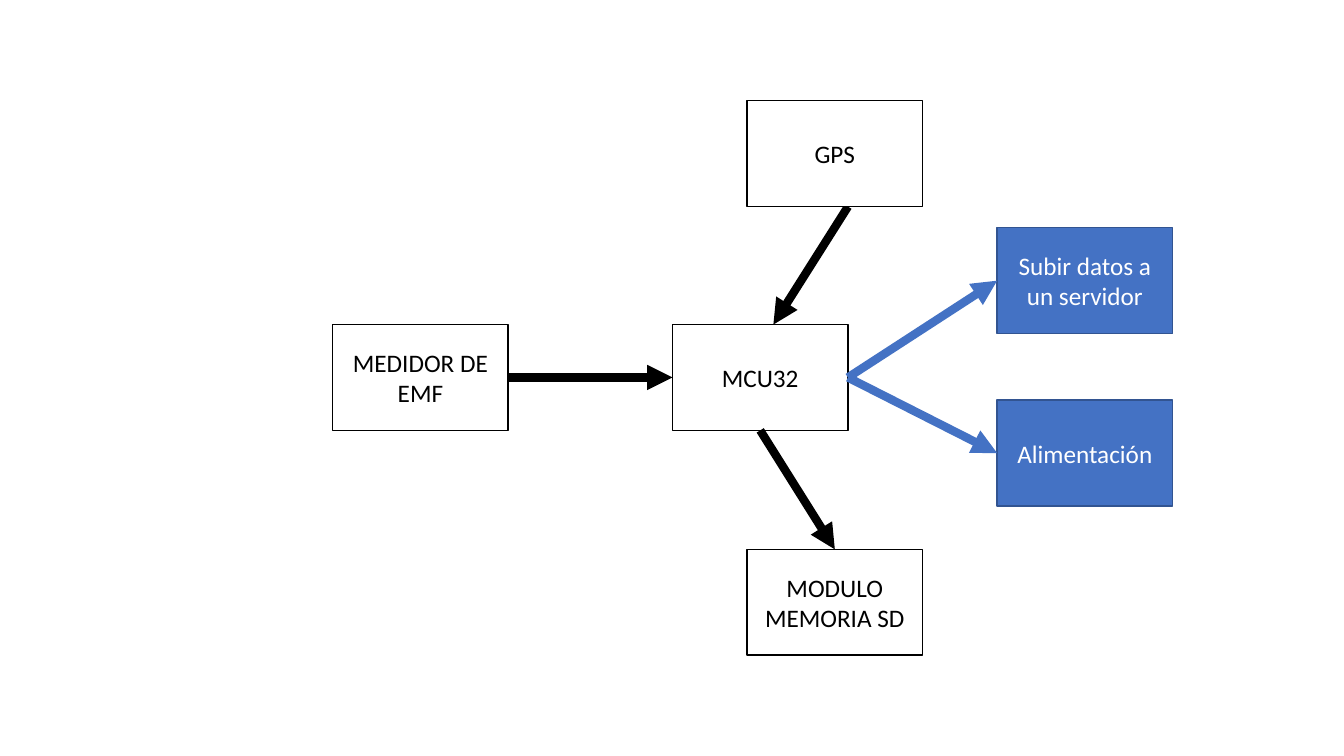
from pptx import Presentation
from pptx.dml.color import RGBColor
from pptx.enum import shapes, text
from pptx.oxml.ns import qn
from pptx.util import Inches, Pt
from lxml import etree

BLACK, WHITE, BLUE, NAVY = "000000", "FFFFFF", "4472C4", "325491"
BOX_W, BOX_H = 1.74, 1.05

# Content: part -> (label, left, top, fill, outline, text colour)
PLAIN, FILLED = (WHITE, BLACK, BLACK), (BLUE, NAVY, WHITE)
blocks = {
    "controller": ("MCU32", 6.67, 3.22, *PLAIN),
    "meter": ("MEDIDOR DE EMF", 3.3, 3.22, *PLAIN),
    "gps": ("GPS", 7.41, 1, *PLAIN),
    "memory": ("MODULO MEMORIA SD", 7.41, 5.45, *PLAIN),
    "server": ("Subir datos a un servidor", 9.89, 2.26, *FILLED),
    "power": ("Alimentación", 9.89, 3.97, *FILLED),
}

# Anchor points as fractions of a block's width and height
TOP, BOTTOM, LEFT, RIGHT = (0.5, 0), (0.5, 1), (0, 0.5), (1, 0.5)
gps_flow = ("gps", (0.575, 1), "controller", (0.575, 0), BLACK)
other_flows = [
    ("controller", BOTTOM, "memory", TOP, BLACK),
    ("meter", RIGHT, "controller", LEFT, BLACK),
    ("controller", RIGHT, "server", LEFT, BLUE),
    ("controller", RIGHT, "power", LEFT, BLUE),
]


def rgb(value):
    return RGBColor.from_string(value)


def write(frame, words, size=18, font="Calibri", color=BLACK):
    frame.word_wrap = True
    frame.vertical_anchor = text.MSO_ANCHOR.MIDDLE
    paragraph = frame.paragraphs[0]
    paragraph.alignment = text.PP_ALIGN.CENTER
    run = paragraph.add_run()
    run.text = words
    run.font.size, run.font.name = Pt(size), font
    run.font.color.rgb = rgb(color)


def anchor(block, fraction):
    left, top = blocks[block][1:3]
    return Inches(left + BOX_W * fraction[0]), Inches(top + BOX_H * fraction[1])


def add_block(label, left, top, fill, outline, color):
    block = slide.shapes.add_shape(shapes.MSO_SHAPE.RECTANGLE, Inches(left),
                                   Inches(top), Inches(BOX_W), Inches(BOX_H))
    block.shadow.inherit = False
    block.fill.solid()
    block.fill.fore_color.rgb = rgb(fill)
    block.line.color.rgb = rgb(outline)
    block.line.width = Pt(1)
    write(block.text_frame, label, color=color)


def add_arrow(source, start, target, end, color):
    arrow = slide.shapes.add_connector(shapes.MSO_CONNECTOR.STRAIGHT,
                                       *anchor(source, start), *anchor(target, end))
    arrow.line.color.rgb = rgb(color)
    arrow.line.width = Pt(6)
    properties = arrow.line._get_or_add_ln()
    etree.SubElement(properties, qn("a:tailEnd"), type="triangle")
    etree.SubElement(properties.getparent(), qn("a:effectLst"))


deck = Presentation()
deck.slide_width, deck.slide_height = Inches(13.33), Inches(7.5)
slide = deck.slides.add_slide(deck.slide_layouts[6])

# The GPS arrow lies behind the blocks, the others in front
add_arrow(*gps_flow)
for block in blocks.values():
    add_block(*block)
for flow in other_flows:
    add_arrow(*flow)

deck.save("out.pptx")
